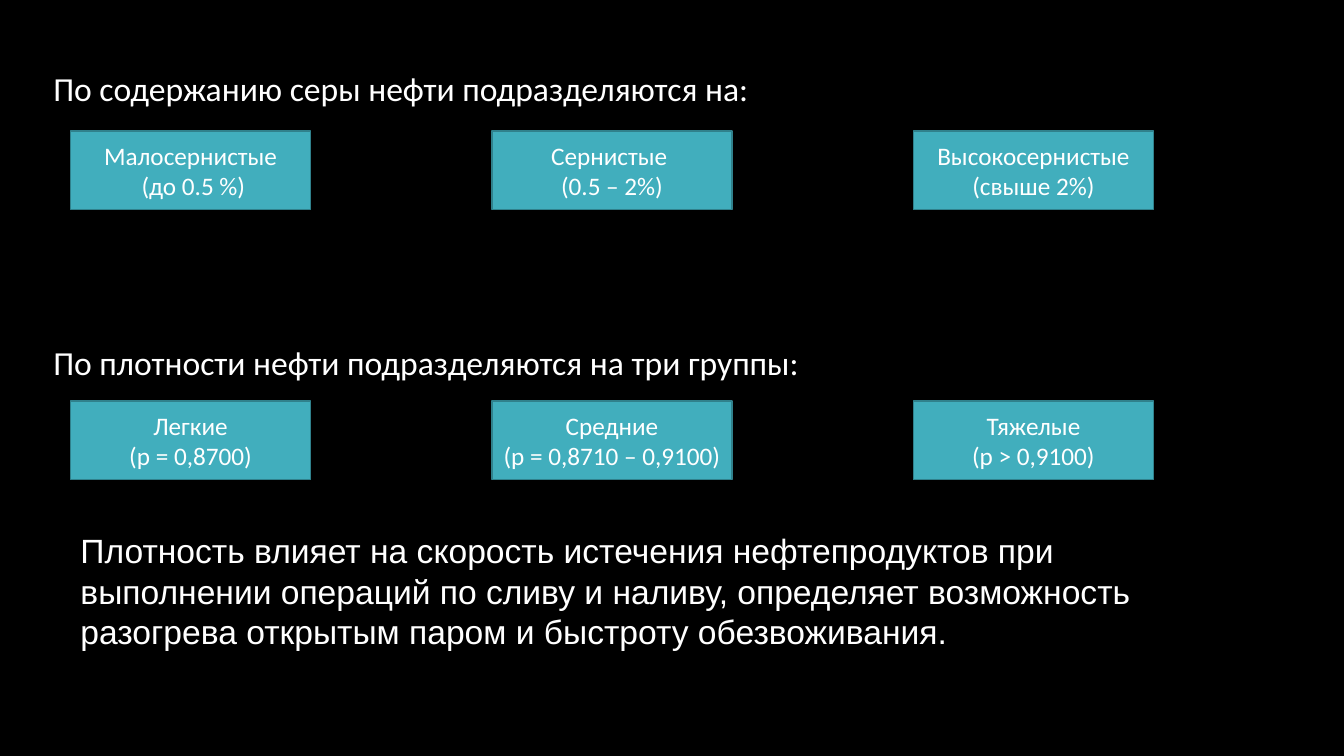
"""Build a slide that classifies crude oils by sulphur content and by density."""
import pptx
import pptx.dml.color
import pptx.enum.shapes
import pptx.enum.text
import pptx.util

Inches = pptx.util.Inches
ALIGN = pptx.enum.text.PP_ALIGN
ANCHOR = pptx.enum.text.MSO_ANCHOR

COLORS = {"background": "000000", "text": "FFFFFF", "box": "41AEBD", "border": "30818C"}

GROUPS = [
    {
        "heading": "По содержанию серы нефти подразделяются на:",
        "top": 0.62,
        "box_top": 1.3,
        "classes": [
            "Малосернистые\n (до 0.5 %)",
            "Сернистые \n(0.5 – 2%)",
            "Высокосернистые\n(свыше 2%)",
        ],
    },
    {
        "heading": "По плотности нефти подразделяются на три группы:",
        "top": 3.34,
        "box_top": 3.98,
        "classes": [
            "Легкие\n(р = 0,8700)",
            "Средние\n(р = 0,8710 – 0,9100)",
            "Тяжелые\n(р > 0,9100)",
        ],
    },
]
CONCLUSION = (
    "Плотность влияет на скорость истечения нефтепродуктов при выполнении операций "
    "по сливу и наливу, определяет возможность разогрева открытым паром "
    "и быстроту обезвоживания."
)

HEADING_LEFT, HEADING_WIDTH, HEADING_HEIGHT = 0.43, 12.08, 0.51
BOX_LEFT, BOX_WIDTH, BOX_HEIGHT, BOX_PITCH = 0.7, 2.38, 0.78, 4.18


def rgb(name):
    return pptx.dml.color.RGBColor.from_string(COLORS[name])


def write(shape, text, size, font, align, anchor):
    tf = shape.text_frame
    tf.text = text
    tf.word_wrap = True
    tf.vertical_anchor = anchor
    for p in tf.paragraphs:
        p.alignment = align
        for r in p.runs:
            r.font.size = pptx.util.Pt(size)
            r.font.name = font
            r.font.color.rgb = rgb("text")


def add_text(s, text, left, top, width, height, font):
    box = s.shapes.add_textbox(Inches(left), Inches(top), Inches(width), Inches(height))
    write(box, text, 24, font, ALIGN.LEFT, ANCHOR.TOP)


def add_class(s, text, left, top):
    sp = s.shapes.add_shape(
        pptx.enum.shapes.MSO_SHAPE.RECTANGLE,
        Inches(left), Inches(top), Inches(BOX_WIDTH), Inches(BOX_HEIGHT),
    )
    sp.shadow.inherit = False
    sp.fill.solid()
    sp.fill.fore_color.rgb = rgb("box")
    sp.line.color.rgb = rgb("border")
    sp.line.width = pptx.util.Pt(1)
    write(sp, text, 18, "Calibri", ALIGN.CENTER, ANCHOR.MIDDLE)


def main():
    prs = pptx.Presentation()
    prs.slide_width, prs.slide_height = Inches(13.33), Inches(7.5)
    s = prs.slides.add_slide(prs.slide_layouts[6])
    s.background.fill.solid()
    s.background.fill.fore_color.rgb = rgb("background")

    for group in GROUPS:
        add_text(s, group["heading"], HEADING_LEFT, group["top"],
                 HEADING_WIDTH, HEADING_HEIGHT, "Calibri")
        for column, text in enumerate(group["classes"]):
            add_class(s, text, BOX_LEFT + column * BOX_PITCH, group["box_top"])

    add_text(s, CONCLUSION, BOX_LEFT, 5.21, 10.87, 1.31, "Arial")
    prs.save("out.pptx")


if __name__ == "__main__":
    main()
